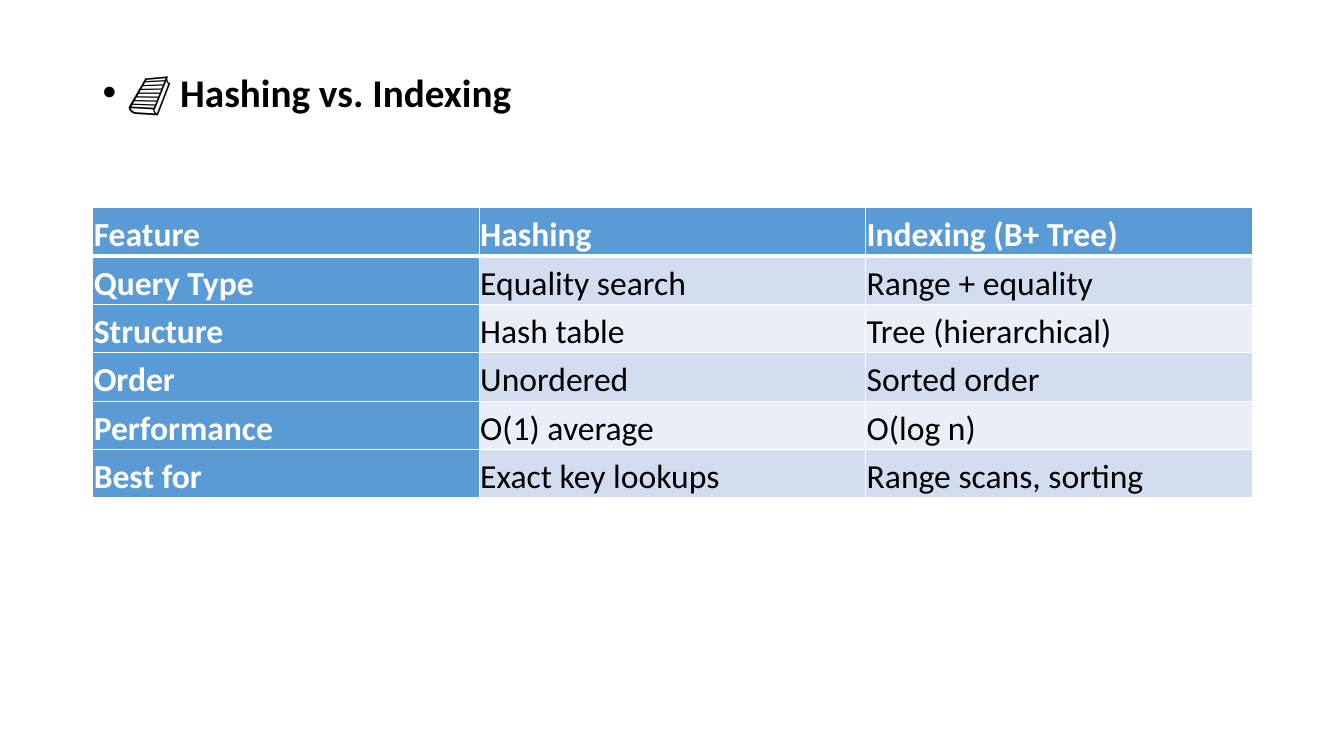
from lxml import etree
from pptx import Presentation
from pptx.dml.color import RGBColor
from pptx.enum.text import MSO_ANCHOR as ANCHOR
from pptx.oxml.ns import qn
from pptx.util import Inches, Pt


def rgb(value):
    return RGBColor.from_string(value)


def add_run(p, text, size, color, bold):
    r = p.add_run()
    r.text = text
    r.font.name = "Calibri"
    r.font.size = Pt(size)
    r.font.bold = bold
    r.font.color.rgb = rgb(color)


ROWS = [
    ("Feature", "Hashing", "Indexing (B+ Tree)"),
    ("Query Type", "Equality search", "Range + equality"),
    ("Structure", "Hash table", "Tree (hierarchical)"),
    ("Order", "Unordered", "Sorted order"),
    ("Performance", "O(1) average", "O(log n)"),
    ("Best for", "Exact key lookups", "Range scans, sorting"),
]
HEADER, BANDS = "5B9BD5", ("EAEFF7", "D2DEEF")
LEFT, WIDTH, ROW_HEIGHT = 0.92, 11.5, 0.45

prs = Presentation()
prs.slide_width, prs.slide_height = Inches(13.33), Inches(7.5)
s = prs.slides.add_slide(prs.slide_layouts[6])

sp = s.shapes.add_textbox(Inches(LEFT), Inches(0.68), Inches(WIDTH), Inches(6.08))
tf = sp.text_frame
tf.word_wrap = True
p = tf.paragraphs[0]
p.line_spacing = 0.9
pPr = p._p.get_or_add_pPr()
pPr.set("marL", str(Inches(0.25)))
pPr.set("indent", str(Inches(-0.25)))
etree.SubElement(pPr, qn("a:buFont"), typeface="Arial")
etree.SubElement(pPr, qn("a:buChar"), char="•")
add_run(p, "📘 Hashing vs. Indexing", 28, "000000", True)

table = s.shapes.add_table(
    len(ROWS), len(ROWS[0]), Inches(LEFT), Inches(2.06),
    Inches(WIDTH), Inches(ROW_HEIGHT * len(ROWS)),
).table
for i, row in enumerate(ROWS):
    for j, text in enumerate(row):
        heading = i == 0 or j == 0
        cell = table.cell(i, j)
        cell.margin_left = cell.margin_right = Inches(0.01)
        cell.margin_top = cell.margin_bottom = Inches(0.01)
        cell.vertical_anchor = ANCHOR.MIDDLE

        tcPr = cell._tc.get_or_add_tcPr()
        for side in ("L", "R", "T", "B"):
            thick = (i, side) in ((0, "B"), (1, "T"))
            ln = etree.SubElement(tcPr, qn(f"a:ln{side}"), w=str(Pt(3 if thick else 1)))
            line_fill = etree.SubElement(ln, qn("a:solidFill"))
            etree.SubElement(line_fill, qn("a:srgbClr"), val="FFFFFF")
        cell.fill.solid()
        cell.fill.fore_color.rgb = rgb(HEADER if heading else BANDS[i % 2])

        p = cell.text_frame.paragraphs[0]
        p.line_spacing = 1.15
        p.space_after = Pt(10)
        add_run(p, text, 24, "FFFFFF" if heading else "000000", heading)

prs.save("out.pptx")
